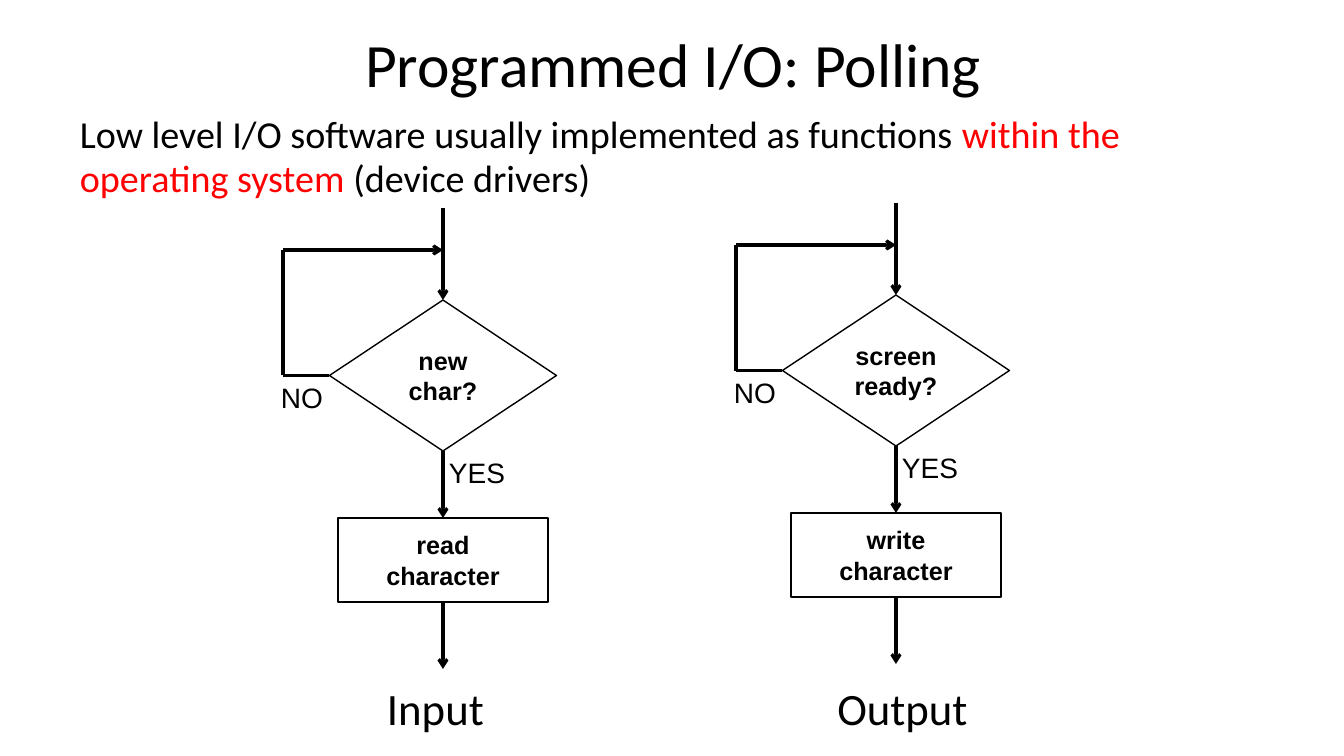
from lxml import etree
from pptx import Presentation
from pptx.dml.color import RGBColor
from pptx.enum.shapes import MSO_CONNECTOR, MSO_SHAPE
from pptx.enum.text import MSO_ANCHOR, PP_ALIGN
from pptx.oxml.ns import qn
from pptx.util import Emu, Pt

STRAIGHT = MSO_CONNECTOR.STRAIGHT
DIAMOND, RECTANGLE = MSO_SHAPE.DIAMOND, MSO_SHAPE.RECTANGLE
TOP, MIDDLE = MSO_ANCHOR.TOP, MSO_ANCHOR.MIDDLE
LEFT, CENTER = PP_ALIGN.LEFT, PP_ALIGN.CENTER
TOP_SIDE, LEFT_SIDE, BOTTOM_SIDE = 0, 1, 2

BLACK, RED = "000000", "FF0000"
TITLE = "Programmed I/O: Polling"
INTRO = [
    ("Low level I/O software usually implemented as functions ", BLACK),
    ("within the operating system ", RED),
    ("(device drivers)", BLACK),
]
FLOWCHARTS = [
    {"axis": 443, "top": 208, "question": "new\nchar?", "action": "read\vcharacter",
     "caption": "Input", "caption_box": (226, 676, 419, 61)},
    {"axis": 896, "top": 203, "question": "screen\nready?", "action": "write\vcharacter",
     "caption": "Output", "caption_box": (735, 676, 335, 61)},
]

# Flowchart measures in px; heights count down from the top of the entry arrow
DIAMOND_WIDTH, DIAMOND_HEIGHT = 227, 151
BOX_WIDTH, BOX_HEIGHT = 210, 84
LOOP_REACH, LOOP_Y, DIAMOND_Y, ACTION_Y, EXIT_Y = 160, 42, 92, 310, 461
PX_PER_INCH = 100.8


def px(length):
    return Emu(round(length * 914400 / PX_PER_INCH))


def color(value):
    return RGBColor.from_string(value)


def style_text(shape, size, font, align=CENTER, anchor=TOP, bold=False, wrap=True):
    frame = shape.text_frame
    frame.word_wrap = wrap
    frame.vertical_anchor = anchor
    for paragraph in frame.paragraphs:
        paragraph.alignment = align
        paragraph.font.size = Pt(size)
        paragraph.font.name = font
        paragraph.font.bold = bold
        paragraph.font.color.rgb = color(BLACK)


def add_text(slide, box, text, size, font, align=LEFT, wrap=True):
    shape = slide.shapes.add_textbox(*map(px, box))
    shape.text_frame.text = text
    style_text(shape, size, font, align, wrap=wrap)
    return shape


def add_node(slide, kind, box, text):
    shape = slide.shapes.add_shape(kind, *map(px, box))
    shape.shadow.inherit = False
    shape.fill.background()
    shape.line.color.rgb = color(BLACK)
    shape.line.width = Pt(1)
    shape.text_frame.text = text
    style_text(shape, 18, "Arial", anchor=MIDDLE, bold=True, wrap=False)
    return shape


def add_line(slide, start, end, arrow=True):
    connector = slide.shapes.add_connector(STRAIGHT, *map(px, start + end))
    connector.line.color.rgb = color(BLACK)
    connector.line.width = Pt(2.25)
    if arrow:
        line = connector.line._get_or_add_ln()
        etree.SubElement(line, qn("a:tailEnd"), type="arrow")
    etree.SubElement(connector._element.spPr, qn("a:effectLst"))
    return connector


def add_flowchart(slide, chart):
    axis, top = chart["axis"], chart["top"]
    loop_x, loop_y = axis - LOOP_REACH, top + LOOP_Y
    diamond_x, diamond_y = axis - DIAMOND_WIDTH / 2, top + DIAMOND_Y
    middle_y = diamond_y + DIAMOND_HEIGHT / 2
    diamond_bottom = diamond_y + DIAMOND_HEIGHT
    action_y = top + ACTION_Y

    question = add_node(slide, DIAMOND,
                        (diamond_x, diamond_y, DIAMOND_WIDTH, DIAMOND_HEIGHT),
                        chart["question"])
    action = add_node(slide, RECTANGLE,
                      (axis - BOX_WIDTH / 2, action_y, BOX_WIDTH, BOX_HEIGHT),
                      chart["action"])

    entry = add_line(slide, (axis, top), (axis, diamond_y))
    entry.end_connect(question, TOP_SIDE)
    yes = add_line(slide, (axis, diamond_bottom), (axis, action_y))
    yes.begin_connect(question, BOTTOM_SIDE)
    yes.end_connect(action, TOP_SIDE)
    leave = add_line(slide, (axis, action_y + BOX_HEIGHT), (axis, top + EXIT_Y))
    leave.begin_connect(action, BOTTOM_SIDE)

    no = add_line(slide, (diamond_x, middle_y), (loop_x, middle_y), arrow=False)
    no.begin_connect(question, LEFT_SIDE)
    add_line(slide, (loop_x, middle_y), (loop_x, loop_y), arrow=False)
    add_line(slide, (loop_x, loop_y), (axis, loop_y))

    add_text(slide, (axis - 4, diamond_bottom, 77, 43), "YES", 20, "Arial", wrap=False)
    add_text(slide, (loop_x - 12, middle_y, 63, 43), "NO", 20, "Arial")
    add_text(slide, chart["caption_box"], chart["caption"], 32, "Calibri", CENTER)


def main():
    presentation = Presentation()
    presentation.slide_width, presentation.slide_height = px(1344), px(756)
    slide = presentation.slides.add_slide(presentation.slide_layouts[5])

    title = slide.shapes.title
    title.left, title.top, title.width, title.height = map(px, (220, 0, 907, 126))
    title.text_frame.text = TITLE
    style_text(title, 44, "Calibri", anchor=MIDDLE)

    for chart in FLOWCHARTS:
        add_flowchart(slide, chart)

    intro = add_text(slide, (70, 108, 1210, 88), "", 27.2, "Calibri")
    paragraph = intro.text_frame.paragraphs[0]
    paragraph.line_spacing = 0.97
    for text, run_color in INTRO:
        run = paragraph.add_run()
        run.text = text
        run.font.color.rgb = color(run_color)

    presentation.save("out.pptx")


if __name__ == "__main__":
    main()
